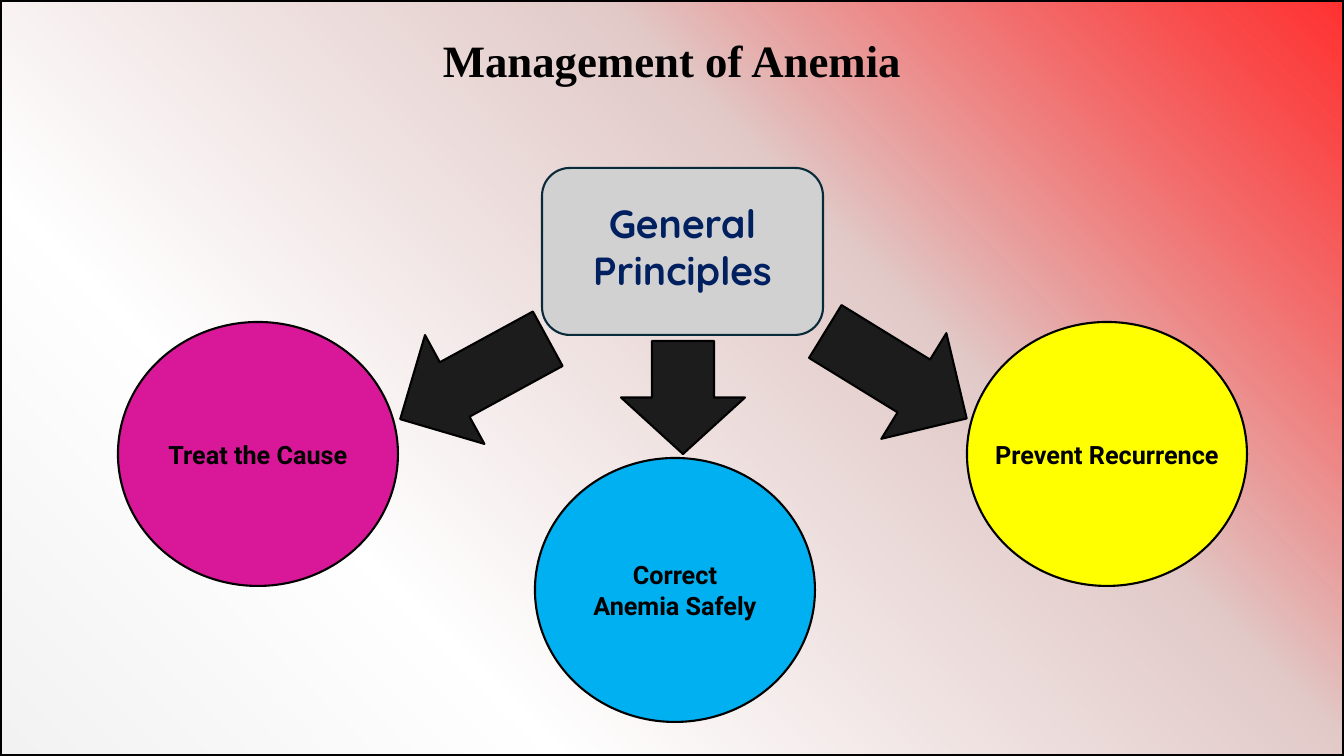
from dataclasses import dataclass
from lxml.etree import SubElement
from pptx import Presentation
from pptx.dml.color import RGBColor
from pptx.enum.shapes import MSO_SHAPE
from pptx.enum.text import MSO_ANCHOR, PP_ALIGN
from pptx.oxml.ns import qn
from pptx.util import Emu, Pt


@dataclass(frozen=True)
class Theme:
    ink: str = "000000"
    navy: str = "002060"
    panel: str = "D1D1D1"
    edge: str = "092A39"
    arrow: str = "1C1C1C"
    title: tuple = ("Times New Roman", 32)
    head: tuple = ("Quicksand", 28)
    label: tuple = ("Roboto", 18)
    line: float = 1.5
    frame: float = 2.25


theme = Theme()
WIDE, HIGH = 1344, 756
TITLE = "Management of Anemia"
HEAD = "General\nPrinciples"
STOPS = [(0, "FF0000", 80), (35, "E1C9C7", 100), (73, "FFFFFF", 100), (99, "F2F2F2", 100)]
DISC = (280, 264)
GOALS = [
    ("Treat the Cause", 118, 322, "D81898", False),
    ("Correct Anemia Safely", 535, 458, "00B0F0", True),
    ("Prevent Recurrence", 967, 322, "FFFF00", False),
]
ARROWS = [
    ((412, 295, 124, 168), 61.4),
    ((834, 292, 124, 166), 301.6),
    ((621, 341, 124, 113), 0),
]


def px(size):
    return Emu(round(size * 914400 / 100.8))


def shape(kind, box, fill, edge=theme.ink, width=theme.line):
    item = slide.shapes.add_shape(kind, *map(px, box))
    item.shadow.inherit = False
    if fill:
        item.fill.solid()
        item.fill.fore_color.rgb = RGBColor.from_string(fill)
    item.line.color.rgb = RGBColor.from_string(edge)
    item.line.width = Pt(width)
    return item


def write(item, text, face, color=theme.ink, pads=(10, 5, 10, 5), wrap=True):
    frame = item.text_frame
    frame.text = text
    frame.word_wrap = wrap
    frame.vertical_anchor = MSO_ANCHOR.MIDDLE
    frame.margin_left, frame.margin_top, frame.margin_right, frame.margin_bottom = map(px, pads)
    for para in frame.paragraphs:
        para.alignment = PP_ALIGN.CENTER
        for run in para.runs:
            run.font.name, size = face
            run.font.size = Pt(size)
            run.font.bold = True
            run.font.color.rgb = RGBColor.from_string(color)


def blend(fill, stops, angle):
    fill.gradient()
    fill.gradient_angle = angle
    rows = fill._fill._gradFill.find(qn("a:gsLst"))
    rows.clear()
    for place, color, alpha in stops:
        stop = SubElement(rows, qn("a:gs"), pos=str(place * 1000))
        tone = SubElement(stop, qn("a:srgbClr"), val=color)
        if alpha < 100:
            SubElement(tone, qn("a:alpha"), val=str(alpha * 1000))


deck = Presentation()
deck.slide_width, deck.slide_height = px(WIDE), px(HIGH)
slide = deck.slides.add_slide(deck.slide_layouts[5])

back = shape(MSO_SHAPE.RECTANGLE, (0, 0, WIDE, HIGH), None, width=theme.frame)
blend(back.fill, STOPS, 225)
slide.shapes._spTree.insert(2, back._element)

title = slide.shapes.title
title.left, title.top, title.width, title.height = map(px, (372, 27, 600, 65))
write(title, TITLE, theme.title)

for text, left, top, fill, wrap in GOALS:
    disc = shape(MSO_SHAPE.OVAL, (left, top, *DISC), fill)
    write(disc, text, theme.label, pads=(15, 5, 15, 5), wrap=wrap)

panel = shape(MSO_SHAPE.ROUNDED_RECTANGLE, (542, 168, 281, 167), theme.panel, theme.edge)
write(panel, HEAD, theme.head, theme.navy, pads=(10, 5, 10, 15))

for box, turn in ARROWS:
    arrow = shape(MSO_SHAPE.DOWN_ARROW, box, theme.arrow)
    arrow.rotation = turn

deck.save("out.pptx")
